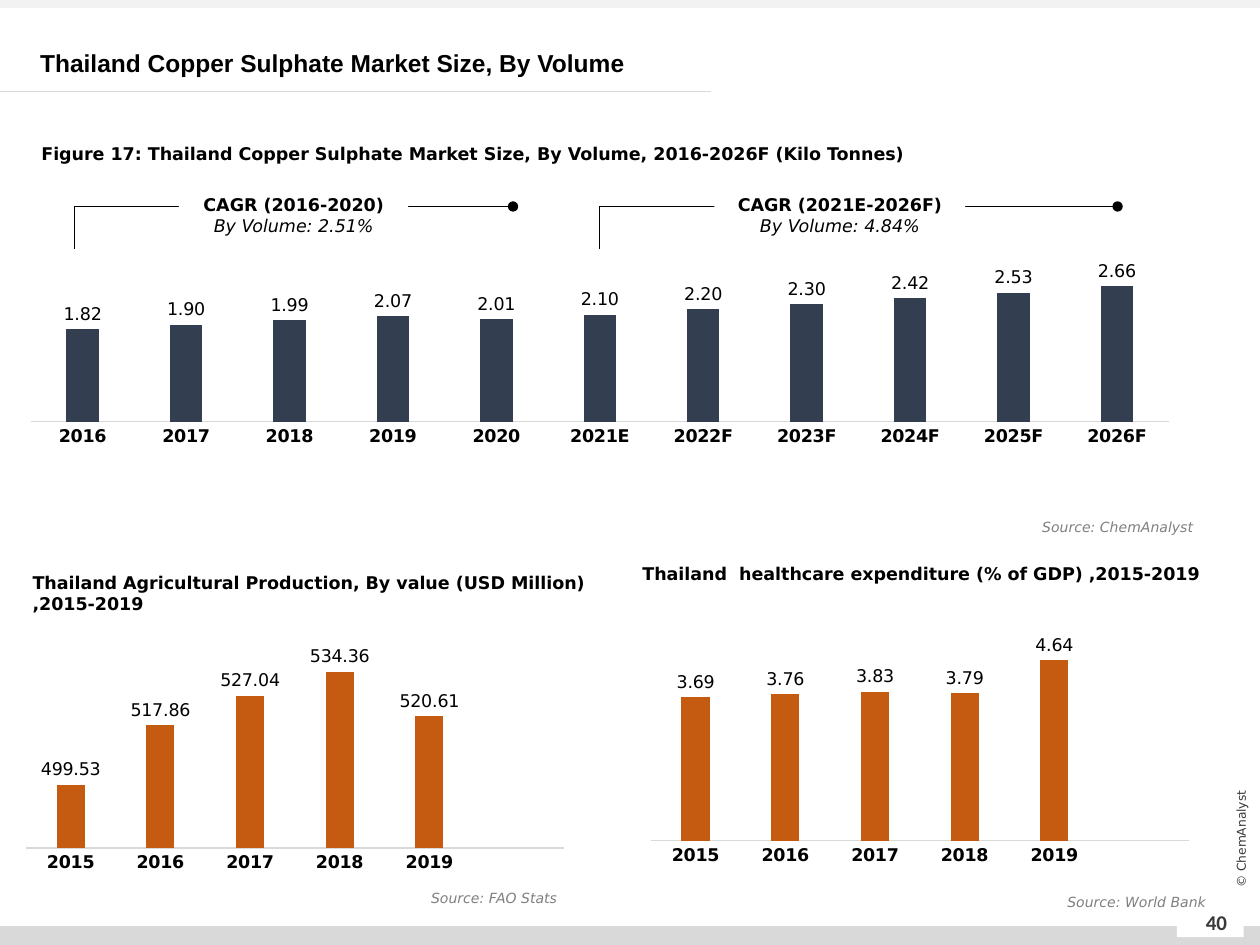
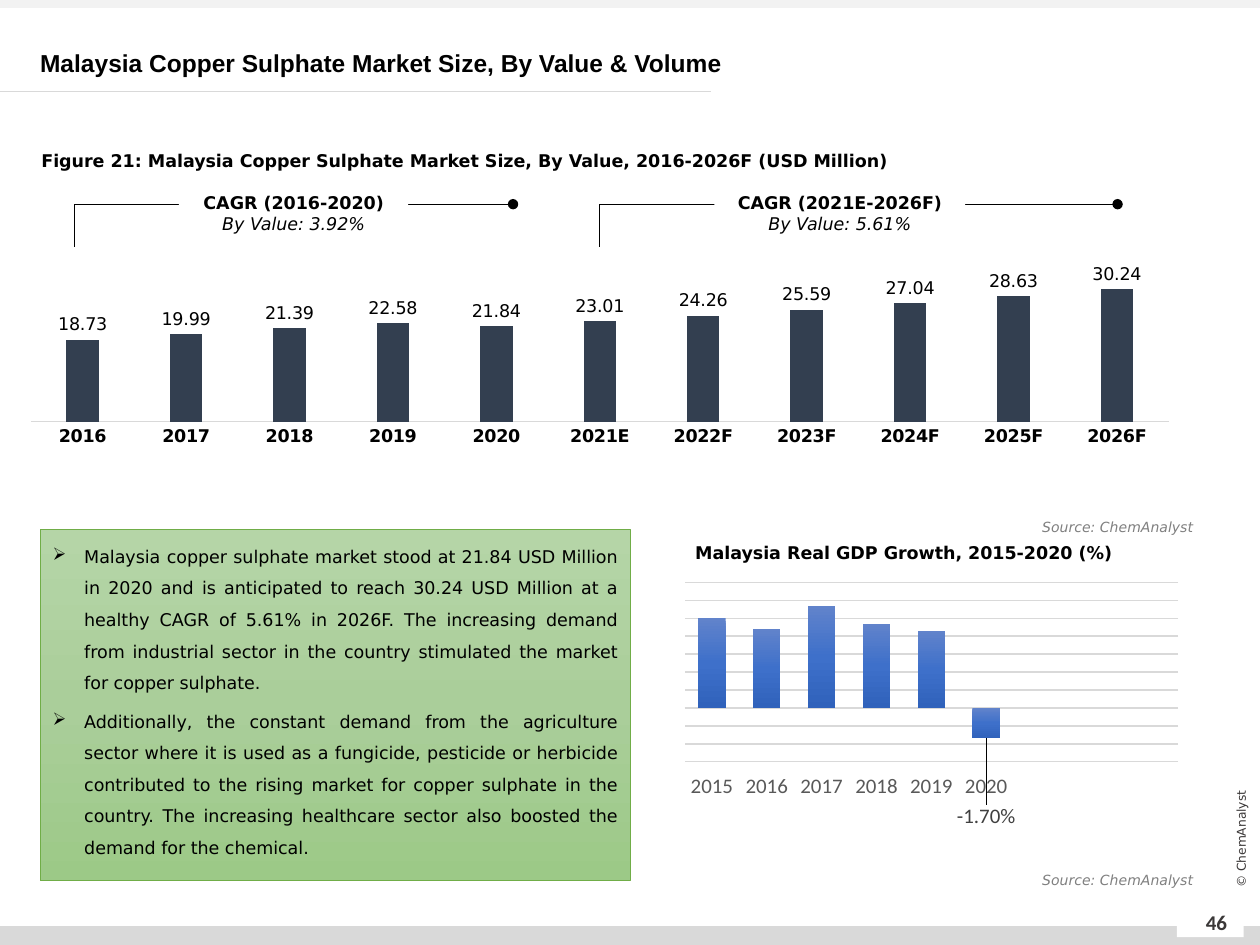
"""Builds two copper sulphate market slides with shared bands, titles and footers."""
from dataclasses import dataclass
from typing import Any, Optional

from lxml import etree
from pptx import Presentation
from pptx import util as u
from pptx.chart.data import CategoryChartData
from pptx.dml.color import RGBColor
from pptx.enum import chart as charts
from pptx.enum import shapes, text
from pptx.oxml.ns import qn

BODY, TITLE, NUMBER = "DejaVu Sans", "Arial", "Calibri"
BLACK, WHITE, GRID, GREY, DARK = "000000", "FFFFFF", "D9D9D9", "808080", "3B3838"
NAVY, ORANGE = "333F50", "C55A11"
BLUES = ((0, "6183CB"), (50, "3E70CA"), (100, "3062BB"))
GREENS = ((0, "B5D5A7"), (50, "AACE9A"), (100, "9CC987"))
BOLD, ITALIC = {"bold": True}, {"italic": True}
ALIGN = text.PP_ALIGN
MIDDLE = text.MSO_ANCHOR.MIDDLE
Box = tuple[float, float, float, float]

YEARS = ("2016", "2017", "2018", "2019", "2020", "2021E", "2022F", "2023F", "2024F", "2025F", "2026F")
PAST_YEARS = ("2015", "2016", "2017", "2018", "2019")
MARKET_BOX: Box = (17.28, 129.6, 650.88, 149.76)
MARKET_PLOT: Box = (0, 0.16, 1, 0.584)
PANEL_PLOT: Box = (0, 0.16, 1, 0.712)
INSIGHTS = (
    "Malaysia copper sulphate market stood at 21.84 USD Million in 2020 and is anticipated to reach "
    "30.24 USD Million at a healthy CAGR of 5.61% in 2026F. The increasing demand from industrial "
    "sector in the country stimulated the market for copper sulphate.",
    "Additionally, the constant demand from the agriculture sector where it is used as a fungicide, "
    "pesticide or herbicide contributed to the rising market for copper sulphate in the country. The "
    "increasing healthcare sector also boosted the demand for the chemical.",
)


@dataclass
class Label:
    """One text line with its box and formats."""
    words: str
    box: Box
    size: float = 10
    color: str = BLACK
    name: str = BODY
    style: Optional[dict] = None
    paragraph: Optional[dict] = None
    frame: Optional[dict] = None


@dataclass
class Columns:
    """One column chart with its scale and look."""
    box: Box
    plot: Box
    categories: tuple
    values: tuple
    low: float
    high: float
    fill: Any
    blanks: int = 0
    percent: bool = False


@dataclass
class Growth:
    """A growth rate bracket over a span of years."""
    period: str
    start: float
    end: float
    left: float
    width: float


SPANS = (Growth("2021E-2026F", 342.72, 638.64, 408.24, 143.28),
         Growth("2016-2020", 42.5, 293.2, 102.24, 131.04))


def rgb(color: str) -> RGBColor:
    """Return the colour of a hex string."""
    return RGBColor.from_string(color)


def points(values: tuple) -> list:
    """Turn numbers into point lengths."""
    return [u.Pt(value) for value in values]


def apply(target: Any, formats: Optional[dict]) -> None:
    """Set each format value on the target."""
    for key, value in (formats or {}).items():
        setattr(target, key, value)


def set_font(font: Any, size: float, color: str, name: str = BODY, style: Optional[dict] = None) -> None:
    """Set size, face, colour and style of a font."""
    apply(font, {"size": u.Pt(size), "name": name, **(style or {})})
    font.color.rgb = rgb(color)


def set_line(line: Any, color: str, width: float) -> None:
    """Set colour and width of a line."""
    line.color.rgb = rgb(color)
    line.width = u.Pt(width)


def set_fill(fill: Any, element: Any, color: Any) -> None:
    """Fill with a hex colour or with downward gradient stops."""
    if isinstance(color, str):
        fill.solid()
        fill.fore_color.rgb = rgb(color)
        return
    fill.gradient()
    fill.gradient_angle = 270
    stop_list = next(element.iter(qn("a:gsLst")))
    for stop in list(stop_list):
        stop_list.remove(stop)
    for position, stop_color in color:
        stop = etree.SubElement(stop_list, qn("a:gs"), pos=str(position * 1000))
        etree.SubElement(stop, qn("a:srgbClr"), val=stop_color)


def add_rectangle(target: Any, box: Box, fill: Any) -> Any:
    """Add a plain rectangle without line or shadow."""
    shape = target.add_shape(shapes.MSO_SHAPE.RECTANGLE, *points(box))
    shape.shadow.inherit = False
    set_fill(shape.fill, shape._element.spPr, fill)
    shape.line.fill.background()
    return shape


def add_line(target: Any, kind: Any, ends: Box, color: str) -> Any:
    """Add a thin connector without shadow."""
    connector = target.add_connector(kind, *points(ends))
    set_line(connector.line, color, 0.5)
    etree.SubElement(connector._element.spPr, qn("a:effectLst"))
    return connector


def add_label(slide: Any, label: Label) -> Any:
    """Add a text box with one line."""
    shape = slide.shapes.add_textbox(*points(label.box))
    apply(shape.text_frame, {"word_wrap": True, **(label.frame or {})})
    paragraph = shape.text_frame.paragraphs[0]
    apply(paragraph, label.paragraph)
    run = paragraph.add_run()
    run.text = label.words
    set_font(run.font, label.size, label.color, label.name, label.style)
    return shape


def add_heading(slide: Any, words: str, box: Box, spacing: float = 1) -> None:
    """Add a bold chart heading."""
    add_label(slide, Label(words, box, style=BOLD, paragraph={"line_spacing": spacing}))


def add_source(slide: Any, name: str, box: Box) -> None:
    """Add a right-aligned source line."""
    add_label(slide, Label(f"Source: {name}", box, 8, GREY, style=ITALIC, paragraph={"alignment": ALIGN.RIGHT}))


def add_bracket(slide: Any, growth: Growth, top: float, rate: str) -> None:
    """Add a growth bracket with its caption."""
    group = slide.shapes.add_group_shape().shapes
    connector = add_line(group, shapes.MSO_CONNECTOR.ELBOW, (growth.start, top + 24.4, growth.end, top), BLACK)
    guides = next(connector._element.iter(qn("a:avLst")))
    etree.SubElement(guides, qn("a:gd"), name="adj1", fmla="val 0")
    etree.SubElement(connector.line._get_or_add_ln(), qn("a:tailEnd"), type="oval")
    caption = add_rectangle(group, (growth.left, top - 15.5, growth.width, 41), WHITE)
    frame = caption.text_frame
    apply(frame, {"word_wrap": True, "vertical_anchor": MIDDLE})
    lines = ((f"CAGR ({growth.period})", BOLD), (rate, ITALIC))
    for index, (words, style) in enumerate(lines):
        paragraph = frame.add_paragraph() if index else frame.paragraphs[0]
        paragraph.alignment = ALIGN.CENTER
        run = paragraph.add_run()
        run.text = words
        set_font(run.font, 10, BLACK, style=style)


def set_layout(parent: Any, index: int, **values: Any) -> None:
    """Give a chart part a manual layout."""
    for old in parent.findall(qn("c:layout")):
        parent.remove(old)
    layout = etree.Element(qn("c:layout"))
    parent.insert(index, layout)
    manual = etree.SubElement(layout, qn("c:manualLayout"))
    for key, value in values.items():
        etree.SubElement(manual, qn(f"c:{key}"), val=str(value))


def add_columns(slide: Any, columns: Columns) -> Any:
    """Add a column chart with value labels."""
    number_format = "0.00%" if columns.percent else "0.00"
    data = CategoryChartData(number_format=number_format)
    data.categories = columns.categories + ("",) * columns.blanks
    data.add_series("Series 1", columns.values + (None,) * columns.blanks)
    chart = slide.shapes.add_chart(charts.XL_CHART_TYPE.COLUMN_CLUSTERED, *points(columns.box), data).chart
    apply(chart, {"has_title": False, "has_legend": False})
    set_font(chart.font, 10, BLACK)
    left, top, width, height = columns.plot
    set_layout(next(chart._chartSpace.iter(qn("c:plotArea"))), 0, layoutTarget="inner",
               xMode="edge", yMode="edge", x=left, y=top, w=width, h=height)

    plot = chart.plots[0]
    apply(plot, {"gap_width": 100 if columns.percent else 219, "overlap": -24 if columns.percent else -27,
                 "vary_by_categories": False, "has_data_labels": True})
    series = plot.series[0]
    series.invert_if_negative = False
    set_fill(series.format.fill, series._element, columns.fill)
    labels = plot.data_labels
    apply(labels, {"show_value": True, "position": charts.XL_LABEL_POSITION.OUTSIDE_END,
                   "number_format": number_format, "number_format_is_linked": False})

    values, years = chart.value_axis, chart.category_axis
    apply(values, {"minimum_scale": columns.low, "maximum_scale": columns.high,
                   "has_major_gridlines": columns.percent, "visible": False})
    years.major_tick_mark = charts.XL_TICK_MARK.NONE
    if columns.percent:
        values.major_unit = 0.01
        set_line(values.major_gridlines.format.line, GRID, 0.75)
        years.tick_label_position = charts.XL_TICK_LABEL_POSITION.LOW
        set_font(labels.font, 12, "404040", NUMBER)
        set_font(years.tick_labels.font, 12, "595959", NUMBER)
    else:
        set_font(labels.font, 10, BLACK)
        set_font(years.tick_labels.font, 10, BLACK, style=BOLD)
    set_line(years.format.line, GRID, 1 if columns.percent else 0.75)
    return chart


def lower_label(chart: Any, index: int, drop: float) -> None:
    """Move one value label down by a share of the chart height."""
    series = chart.plots[0].series[0]
    label = series.points[index].data_label
    set_font(label.font, 12, "404040", NUMBER)
    label.position = charts.XL_LABEL_POSITION.OUTSIDE_END
    set_layout(next(series._element.iter(qn("c:dLbl"))), 1, x=0, y=drop)


def add_insights(slide: Any) -> None:
    """Add the green box of bulleted findings."""
    shape = add_rectangle(slide.shapes, (23.04, 302.4, 336.96, 200.88), GREENS)
    set_line(shape.line, "70AD47", 0.5)
    frame = shape.text_frame
    apply(frame, {"word_wrap": True, "vertical_anchor": text.MSO_ANCHOR.TOP})
    for index, words in enumerate(INSIGHTS):
        paragraph = frame.add_paragraph() if index else frame.paragraphs[0]
        apply(paragraph, {"alignment": ALIGN.JUSTIFY, "line_spacing": 1.5, "space_before": u.Pt(4 if index else 0)})
        properties = paragraph._p.get_or_add_pPr()
        properties.set("marL", str(u.Pt(18)))
        properties.set("indent", str(-u.Pt(18)))
        etree.SubElement(properties, qn("a:buChar"), char="➢")
        run = paragraph.add_run()
        run.text = words
        set_font(run.font, 10, BLACK)


def add_market_slide(presentation: Any, title: str, number: int, figure: str, figure_top: float,
                     market: Columns, bracket_top: float, rates: tuple) -> Any:
    """Add a slide with the shared frame and its market chart."""
    slide = presentation.slides.add_slide(presentation.slide_layouts[6])
    for box, fill in (((0, 529.2, 720, 10.8), GRID), ((0, 0, 720, 4.5), "F2F2F2"),
                      ((672.5, 519.8, 38.2, 15.8), WHITE)):
        add_rectangle(slide.shapes, box, fill)
    add_line(slide.shapes, shapes.MSO_CONNECTOR.STRAIGHT, (0, 52.2, 406.5, 52.2), GRID)
    centred = {"alignment": ALIGN.CENTER}
    add_label(slide, Label(str(number), (677.5, 512.6, 35.3, 28.8), 12, DARK, NUMBER, BOLD,
                           centred, {"vertical_anchor": MIDDLE}))
    margins = {f"margin_{side}": 0 for side in ("left", "right", "top", "bottom")}
    add_label(slide, Label("© ChemAnalyst", (666, 473.8, 86.4, 11.5), 7, DARK, paragraph=centred,
                           frame={"vertical_anchor": MIDDLE, **margins})).rotation = 270
    add_label(slide, Label(title, (15.84, 24.5, 702.7, 23), 14, BLACK, TITLE, BOLD,
                           {"line_spacing": u.Pt(17)}, {"vertical_anchor": MIDDLE}))
    add_columns(slide, market)
    for growth, rate in zip(SPANS, rates):
        add_bracket(slide, growth, bracket_top, rate)
    add_heading(slide, figure, (16.56, figure_top, 635, 23), 1.5)
    add_source(slide, "ChemAnalyst", (515.5, 293, 173.5, 17.3))
    return slide


def main() -> None:
    """Build and save both slides."""
    presentation = Presentation()
    apply(presentation, {"slide_width": u.Pt(720), "slide_height": u.Pt(540)})

    volumes = (1.82, 1.9, 1.99, 2.07, 2.01, 2.1, 2.2, 2.3, 2.42, 2.53, 2.66)
    thailand = add_market_slide(
        presentation, "Thailand Copper Sulphate Market Size, By Volume", 40,
        "Figure 17: Thailand Copper Sulphate Market Size, By Volume, 2016-2026F (Kilo Tonnes)", 72,
        Columns(MARKET_BOX, MARKET_PLOT, YEARS, volumes, 0, 3, NAVY), 118, ("By Volume: 4.84%", "By Volume: 2.51%"))
    farming = (499.53, 517.86, 527.04, 534.36, 520.61)
    add_columns(thailand, Columns((14.4, 348.5, 308.2, 156.2), PANEL_PLOT, PAST_YEARS, farming, 480, 540, ORANGE, 1))
    add_heading(thailand, "Thailand Agricultural Production, By value (USD Million) ,2015-2019",
                (11.5, 323.3, 360.7, 31.7))
    add_source(thailand, "FAO Stats", (235, 504.7, 90.5, 17.3))
    health = (3.69, 3.76, 3.83, 3.79, 4.64)
    add_columns(thailand, Columns((371.5, 344.2, 308.2, 156.2), PANEL_PLOT, PAST_YEARS, health, 0, 5, ORANGE, 1))
    add_heading(thailand, "Thailand  healthcare expenditure (% of GDP) ,2015-2019", (360, 318.2, 360.7, 19.4))
    add_source(thailand, "World Bank", (512, 506.9, 184.3, 17.3))

    worth = (18.73, 19.99, 21.39, 22.58, 21.84, 23.01, 24.26, 25.59, 27.04, 28.63, 30.24)
    malaysia = add_market_slide(
        presentation, "Malaysia Copper Sulphate Market Size, By Value & Volume", 46,
        "Figure 21: Malaysia Copper Sulphate Market Size, By Value, 2016-2026F (USD Million)", 76.3,
        Columns(MARKET_BOX, MARKET_PLOT, YEARS, worth, 0, 35, NAVY), 116.7, ("By Value: 5.61%", "By Value: 3.92%"))
    growth = (0.05, 0.044, 0.057, 0.047, 0.043, -0.017)
    chart = add_columns(malaysia, Columns((388, 326.2, 285.8, 147.6), (0.011, 0.045, 0.989, 0.705),
                                          PAST_YEARS + ("2020",), growth, -0.03, 0.07, BLUES, 3, True))
    lower_label(chart, 5, 0.24)
    add_heading(malaysia, "Malaysia Real GDP Growth, 2015-2020 (%)", (390.2, 300.2, 360.7, 23), 1.5)
    add_source(malaysia, "ChemAnalyst", (515.5, 494.6, 173.5, 17.3))
    add_insights(malaysia)
    presentation.save("out.pptx")


if __name__ == "__main__":
    main()
